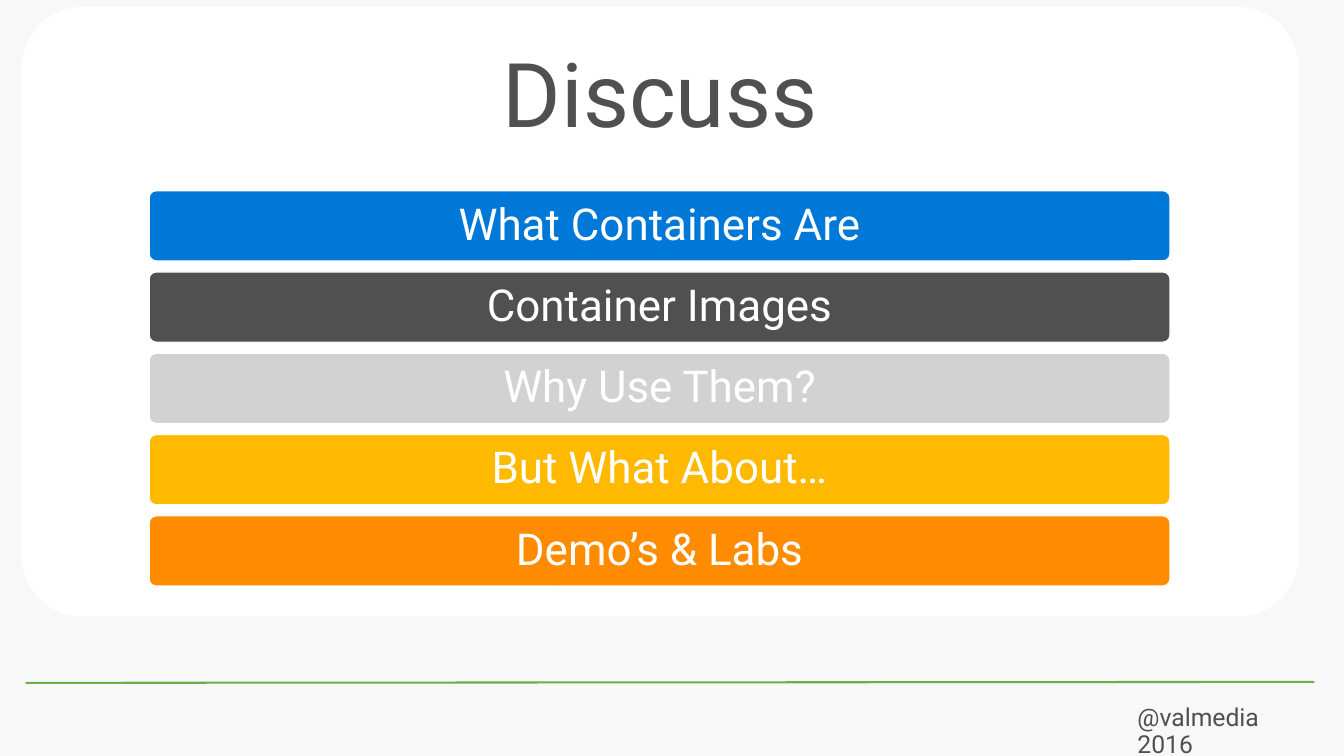
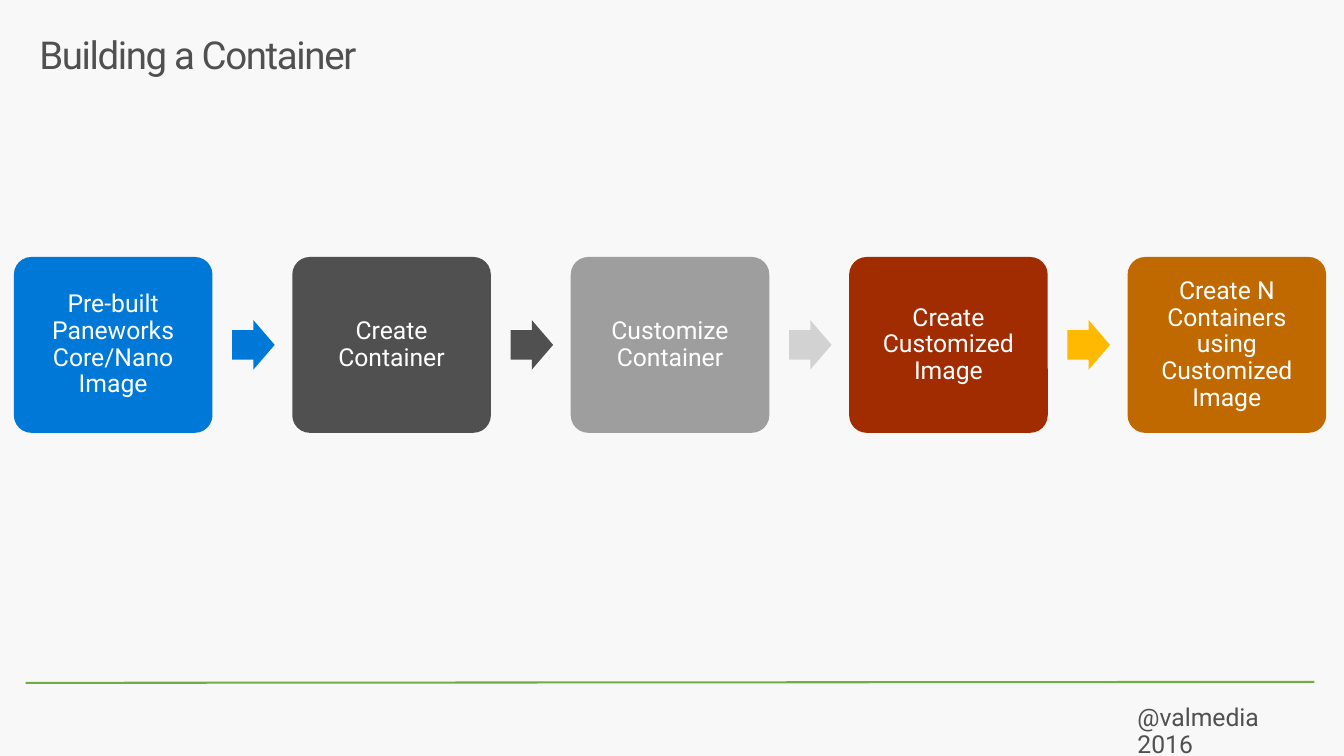
from pptx import Presentation
from pptx.dml.color import RGBColor
from pptx.enum.shapes import MSO_CONNECTOR, MSO_SHAPE
from pptx.enum.text import MSO_ANCHOR, PP_ALIGN
from pptx.oxml.ns import qn
from pptx.util import Pt
from lxml.etree import SubElement

PX = 9144
FONT = "Roboto"
WHITE, PAPER, GRAY, GREEN = "FFFFFF", "F8F8F8", "505050", "70AD47"
BLUE, SILVER, YELLOW, ORANGE = "0078D7", "D2D2D2", "FFB900", "FF8C00"
STEEL, RUST, OCHRE = "9E9E9E", "A22C01", "BF6900"

TOPICS = [
    ("What Containers Are", BLUE),
    ("Container Images", GRAY),
    ("Why Use Them?", SILVER),
    ("But What About…", YELLOW),
    ("Demo’s & Labs", ORANGE),
]
STEPS = [
    ("Pre-built Paneworks Core/Nano Image", BLUE, BLUE),
    ("Create Container", GRAY, GRAY),
    ("Customize Container", STEEL, SILVER),
    ("Create Customized Image", RUST, YELLOW),
    ("Create N Containers using Customized Image", OCHRE, None),
]


def rgb(value):
    """Return the colour for a hex string."""
    return RGBColor.from_string(value)


def emu(*lengths):
    """Turn px lengths into whole EMU."""
    return [round(n * PX) for n in lengths]


def write(sp, text, size, color=WHITE, center=True, inset=(10, 5), spacing=None):
    """Put one styled paragraph into a shape."""
    tf = sp.text_frame
    across, down = emu(*inset)
    frame = {
        "word_wrap": True,
        "margin_left": across,
        "margin_right": across,
        "margin_top": down,
        "margin_bottom": down,
        "vertical_anchor": MSO_ANCHOR.MIDDLE if center else MSO_ANCHOR.TOP,
    }
    for name, value in frame.items():
        setattr(tf, name, value)
    p = tf.paragraphs[0]
    p.alignment = PP_ALIGN.CENTER if center else PP_ALIGN.LEFT
    p.line_spacing = 0.9
    r = p.add_run()
    r.text = text
    for name, value in {"name": FONT, "size": Pt(size)}.items():
        setattr(r.font, name, value)
    r.font.color.rgb = rgb(color)
    if spacing:
        r._r.get_or_add_rPr().set("spc", str(spacing))


def add_text(s, box, text, size, **style):
    """Add a text box."""
    write(s.shapes.add_textbox(*emu(*box)), text, size, **style)


def add_block(s, kind, box, fill, adjustments, line=None):
    """Add a flat filled preset shape."""
    sp = s.shapes.add_shape(kind, *emu(*box))
    sp.shadow.inherit = False
    sp.fill.solid()
    sp.fill.fore_color.rgb = rgb(fill)
    for i, value in enumerate(adjustments):
        sp.adjustments[i] = value
    if line:
        sp.line.color.rgb = rgb(line)
        sp.line.width = Pt(0.85)
    else:
        sp.line.fill.background()
    return sp


def add_rounded(s, box, fill, line=None):
    """Add a rounded rectangle with the shared corner."""
    return add_block(s, MSO_SHAPE.ROUNDED_RECTANGLE, box, fill, [0.1], line)


def add_footer(s, box):
    """Add the rule and the handle below it."""
    x, y, w, h = box
    rule = s.shapes.add_connector(MSO_CONNECTOR.STRAIGHT, *emu(x, y + 1, x + w, y))
    rule.line.color.rgb = rgb(GREEN)
    rule.line.width = Pt(1.5)
    SubElement(rule._element.spPr, qn("a:effectLst"))
    add_text(s, (x + 1105, y + 8, 216, h - 8), "@valmedia 2016", 18,
             color=GRAY, center=False, inset=(20, 16))


def new_slide(prs):
    """Add a blank slide with the shared footer."""
    s = prs.slides.add_slide(prs.slide_layouts[6])
    add_footer(s, (26, 690, 1304, 68))
    return s


def add_agenda(s, box, title, topics):
    """Add a white panel with a heading and a stack of bars."""
    x, y, w, h = box
    add_rounded(s, box, WHITE)
    add_text(s, (x, y, w, 185), title, 65, color=GRAY, inset=(27, 27))
    bar_h = 71
    pitch = (400 - bar_h) / (len(topics) - 1)
    for i, (text, fill) in enumerate(topics):
        bar = add_rounded(s, (x + 129, y + 186 + i * pitch, w - 259, bar_h), fill, WHITE)
        write(bar, text, 32, inset=(9, 7))


def add_process(s, box, steps):
    """Add a row of cards with an arrow between neighbours."""
    x, y, w, h = box
    card_w, arrow_w, arrow_h = 201, 43, 50
    pitch = (w - card_w) / (len(steps) - 1)
    for i, (text, fill, arrow_fill) in enumerate(steps):
        left = x + i * pitch
        write(add_rounded(s, (left, y, card_w, h), fill), text, 18, inset=(7, 7))
        if arrow_fill:
            arrow = (left + card_w + 20, y + (h - arrow_h) / 2, arrow_w, arrow_h)
            add_block(s, MSO_SHAPE.RIGHT_ARROW, arrow, arrow_fill, [0.6, 0.5])


def main():
    """Build the presentation."""
    prs = Presentation()
    prs.slide_width, prs.slide_height = emu(1360, 765)
    background = prs.slide_master.background.fill
    background.solid()
    background.fore_color.rgb = rgb(PAPER)

    add_agenda(new_slide(prs), (22, 7, 1292, 617), "Discuss", TOPICS)

    s = new_slide(prs)
    add_process(s, (14, 260, 1328, 178), STEPS)
    add_text(s, (30, 32, 1300, 100), "Building a Container", 28,
             color=GRAY, center=False, spacing=-100)

    prs.save("out.pptx")


if __name__ == "__main__":
    main()
